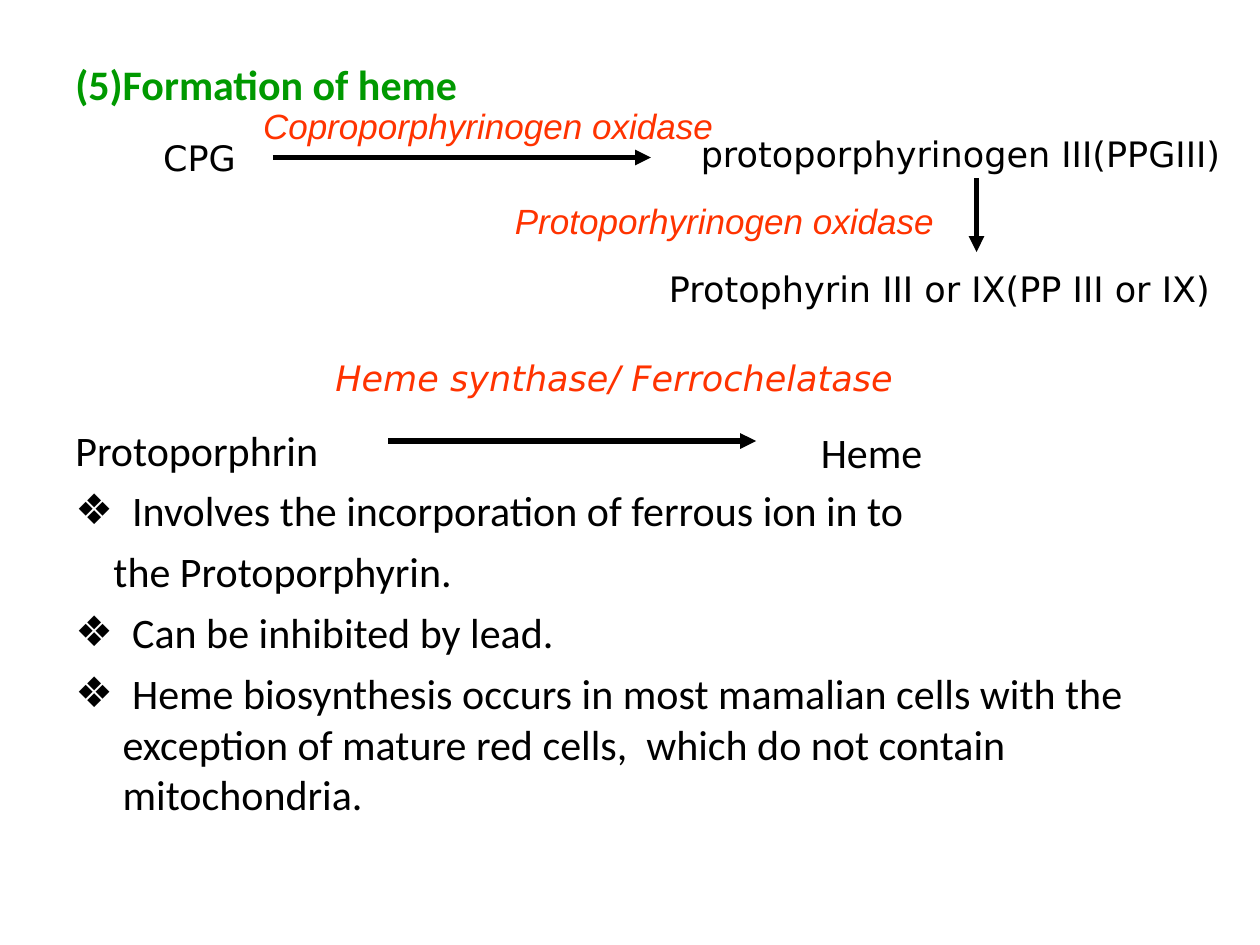
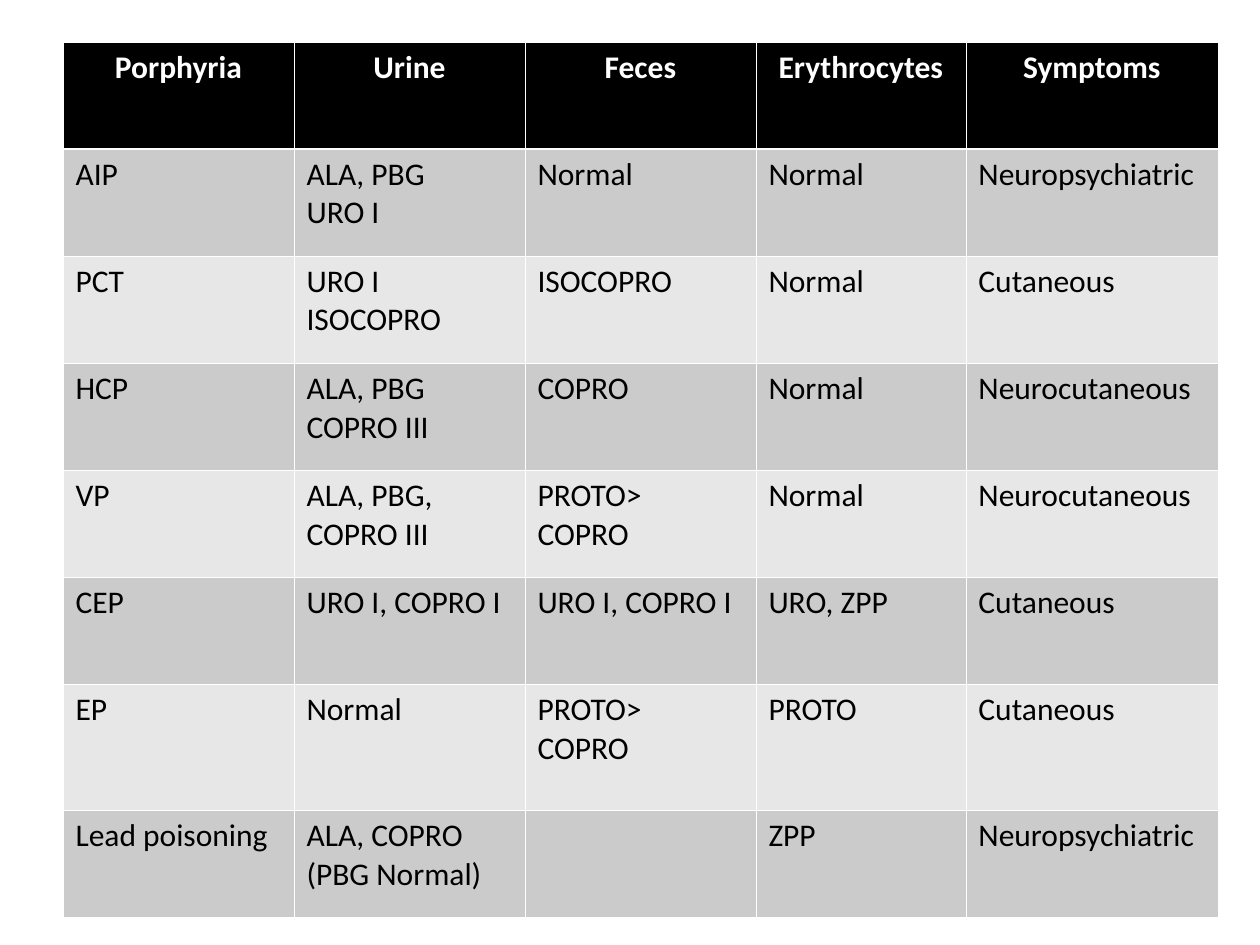
from dataclasses import dataclass

from pptx import Presentation
from pptx.dml.color import RGBColor
from pptx.enum.shapes import MSO_CONNECTOR
from pptx.enum.text import MSO_ANCHOR, PP_ALIGN
from pptx.oxml.ns import qn
from pptx.util import Pt
from lxml import etree

STRAIGHT = MSO_CONNECTOR.STRAIGHT
TOP, MIDDLE = MSO_ANCHOR.TOP, MSO_ANCHOR.MIDDLE
LEFT, CENTER = PP_ALIGN.LEFT, PP_ALIGN.CENTER


@dataclass(frozen=True)
class Theme:
    black: str = "000000"
    white: str = "FFFFFF"
    heading: str = "009900"
    enzyme: str = "FF3300"
    dark_band: str = "CBCBCB"
    light_band: str = "E7E7E7"
    body_font: str = "Calibri"
    compound_font: str = "DejaVu Sans"
    enzyme_font: str = "Arial"
    body_size: int = 24
    label_size: int = 20
    table_size: int = 18
    arrow_width: int = 3
    grid_width: float = 0.45
    header_rule: float = 1.5


THEME = Theme()

BODY_TEXT = {"name": THEME.body_font, "size": Pt(THEME.body_size), "color": THEME.black}
HEADING = BODY_TEXT | {"color": THEME.heading, "bold": True}
COMPOUND = {"name": THEME.compound_font, "size": Pt(THEME.label_size), "color": THEME.black}
ENZYME = {"name": THEME.enzyme_font, "size": Pt(THEME.label_size),
          "color": THEME.enzyme, "italic": True}
CELL_TEXT = {"name": THEME.body_font, "size": Pt(THEME.table_size),
             "color": THEME.black, "bold": False}
HEADER_TEXT = CELL_TEXT | {"color": THEME.white, "bold": True}

PARA_GAP = 6
DIAGRAM_GAP = 180
BULLET_INDENT = 27
CONTINUED_INDENT = 21.8

# text, kind, space before
BODY_LINES = [
    ("(5)Formation of heme", "heading", PARA_GAP),
    ("Protoporphrin", "reaction", DIAGRAM_GAP),
    (" Involves the incorporation of ferrous ion in to", "bullet", PARA_GAP),
    ("the Protoporphyrin.", "continued", PARA_GAP),
    (" Can be inhibited by lead.", "bullet", PARA_GAP),
    (" Heme biosynthesis occurs in most mamalian cells with the exception of mature "
     "red cells,  which do not contain mitochondria.", "bullet", PARA_GAP),
]

# text, format, (left, top, width, height) within the pathway
PATHWAY_LABELS = [
    ("CPG", COMPOUND, (30, 72, 168, 36)),
    ("Coproporphyrinogen oxidase", ENZYME, (120, 48, 318, 48)),
    ("protoporphyrinogen III(PPGIII)", COMPOUND, (381, 69.5, 336, 36)),
    ("Protophyrin III or IX(PP III or IX)", COMPOUND, (372, 144, 330, 42)),
    ("Protoporhyrinogen oxidase", ENZYME, (255, 102, 318, 48)),
    ("Heme synthase/ Ferrochelatase", ENZYME | {"name": THEME.compound_font},
     (171, 198, 360, 36)),
    ("Heme", BODY_TEXT, (453, 240, 90, 36)),
]
PATHWAY_ARROWS = [(156, 90, 372, 90), (558, 102, 558, 144), (222, 252, 432, 252)]

COLUMN_WIDTHS = [132, 132, 132, 120, 144]
ROW_HEIGHT, TALL_ROW_HEIGHT, TALL_ROW = 61.2, 72, "EP"
PORPHYRIAS = [
    ("Porphyria", "Urine", "Feces", "Erythrocytes", "Symptoms"),
    ("AIP", "ALA, PBG\nURO I", "Normal", "Normal", "Neuropsychiatric"),
    ("PCT", "URO I\nISOCOPRO", "ISOCOPRO", "Normal", "Cutaneous"),
    ("HCP", "ALA, PBG\nCOPRO III", "COPRO", "Normal", "Neurocutaneous"),
    ("VP", "ALA, PBG,\nCOPRO III", "PROTO>\nCOPRO", "Normal", "Neurocutaneous"),
    ("CEP", "URO I, COPRO I", "URO I, COPRO I", "URO, ZPP", "Cutaneous"),
    ("EP", "Normal", "PROTO>\nCOPRO", "PROTO", "Cutaneous"),
    ("Lead poisoning", "ALA, COPRO\n(PBG Normal)", "", "ZPP", "Neuropsychiatric"),
]


def format_font(font, values):
    for name, value in values.items():
        if name == "color":
            font.color.rgb = RGBColor.from_string(value)
        else:
            setattr(font, name, value)


def add_element(parent, tag, **attributes):
    return etree.SubElement(parent, qn(tag), attributes)


def add_solid_fill(parent, color):
    add_element(add_element(parent, "a:solidFill"), "a:srgbClr", val=color)


def write_text(frame, text, values, align):
    """Fill the frame with one paragraph for each line of the text."""
    frame.text = text
    for para in frame.paragraphs:
        para.alignment = align
        for span in para.runs:
            format_font(span.font, values)


def add_text_box(page, box, anchor, wrap):
    frame = page.shapes.add_textbox(*map(Pt, box)).text_frame
    frame.vertical_anchor, frame.word_wrap = anchor, wrap
    return frame


def add_arrow(page, x1, y1, x2, y2):
    arrow = page.shapes.add_connector(STRAIGHT, Pt(x1), Pt(y1), Pt(x2), Pt(y2))
    arrow.line.color.rgb = RGBColor.from_string(THEME.black)
    arrow.line.width = Pt(THEME.arrow_width)
    add_element(arrow.line._get_or_add_ln(), "a:tailEnd", type="triangle")
    add_element(arrow._element.spPr, "a:effectLst")


def set_indent(para, left, first=0):
    properties = para._p.get_or_add_pPr()
    properties.set("marL", str(Pt(left)))
    properties.set("indent", str(Pt(first)))
    return properties


def style_body_para(para, kind):
    """Apply the indent and bullet that the kind of line needs."""
    if kind == "bullet":
        properties = set_indent(para, BULLET_INDENT, -BULLET_INDENT)
        color = add_element(properties, "a:buClr")
        add_element(color, "a:srgbClr", val=THEME.black)
        add_element(properties, "a:buSzPct", val="100000")
        add_element(properties, "a:buFont", typeface=THEME.compound_font)
        add_element(properties, "a:buChar", char="❖")
    elif kind == "continued":
        set_indent(para, CONTINUED_INDENT)


def add_body(page, box):
    frame = add_text_box(page, box, TOP, True)
    for index, (text, kind, gap) in enumerate(BODY_LINES):
        para = frame.add_paragraph() if index else frame.paragraphs[0]
        para.alignment = LEFT
        para.space_before = Pt(gap)
        span = para.add_run()
        span.text = text
        format_font(span.font, HEADING if kind == "heading" else BODY_TEXT)
        style_body_para(para, kind)


def add_pathway(page, left, top):
    for text, values, (x, y, width, height) in PATHWAY_LABELS:
        frame = add_text_box(page, (left + x, top + y, width, height), MIDDLE, False)
        write_text(frame, text, values, CENTER)
    for x1, y1, x2, y2 in PATHWAY_ARROWS:
        add_arrow(page, left + x1, top + y1, left + x2, top + y2)


def set_borders(cell, widths):
    """Draw white edges; widths maps L, R, T and B to points."""
    properties = cell._tc.get_or_add_tcPr()
    for position, (side, width) in enumerate(widths.items()):
        line = etree.Element(qn(f"a:ln{side}"), w=str(Pt(width)))
        add_solid_fill(line, THEME.white)
        properties.insert(position, line)


def add_porphyria_table(page, left, top):
    heights = [TALL_ROW_HEIGHT if row[0] == TALL_ROW else ROW_HEIGHT for row in PORPHYRIAS]
    table = page.shapes.add_table(
        len(PORPHYRIAS), len(COLUMN_WIDTHS), Pt(left), Pt(top),
        Pt(sum(COLUMN_WIDTHS)), Pt(sum(heights))).table
    for column, width in zip(table.columns, COLUMN_WIDTHS):
        column.width = Pt(width)
    for index, (row, height, texts) in enumerate(zip(table.rows, heights, PORPHYRIAS)):
        row.height = Pt(height)
        header = index == 0
        band = THEME.dark_band if index % 2 else THEME.light_band
        borders = dict.fromkeys("LRTB", THEME.grid_width)
        if index < 2:
            borders["B" if header else "T"] = THEME.header_rule
        for cell, text in zip(row.cells, texts):
            write_text(cell.text_frame, text, HEADER_TEXT if header else CELL_TEXT,
                       CENTER if header else LEFT)
            cell.fill.solid()
            cell.fill.fore_color.rgb = RGBColor.from_string(THEME.black if header else band)
            set_borders(cell, borders)


def main():
    deck = Presentation()
    deck.slide_width, deck.slide_height = Pt(720), Pt(540)
    blank = deck.slide_layouts[6]

    heme_page = deck.slides.add_slide(blank)
    add_body(heme_page, (36, 30, 648, 498))
    add_pathway(heme_page, 0, 0)

    porphyria_page = deck.slides.add_slide(blank)
    add_porphyria_table(porphyria_page, 36, 24)

    deck.save("out.pptx")


if __name__ == "__main__":
    main()
